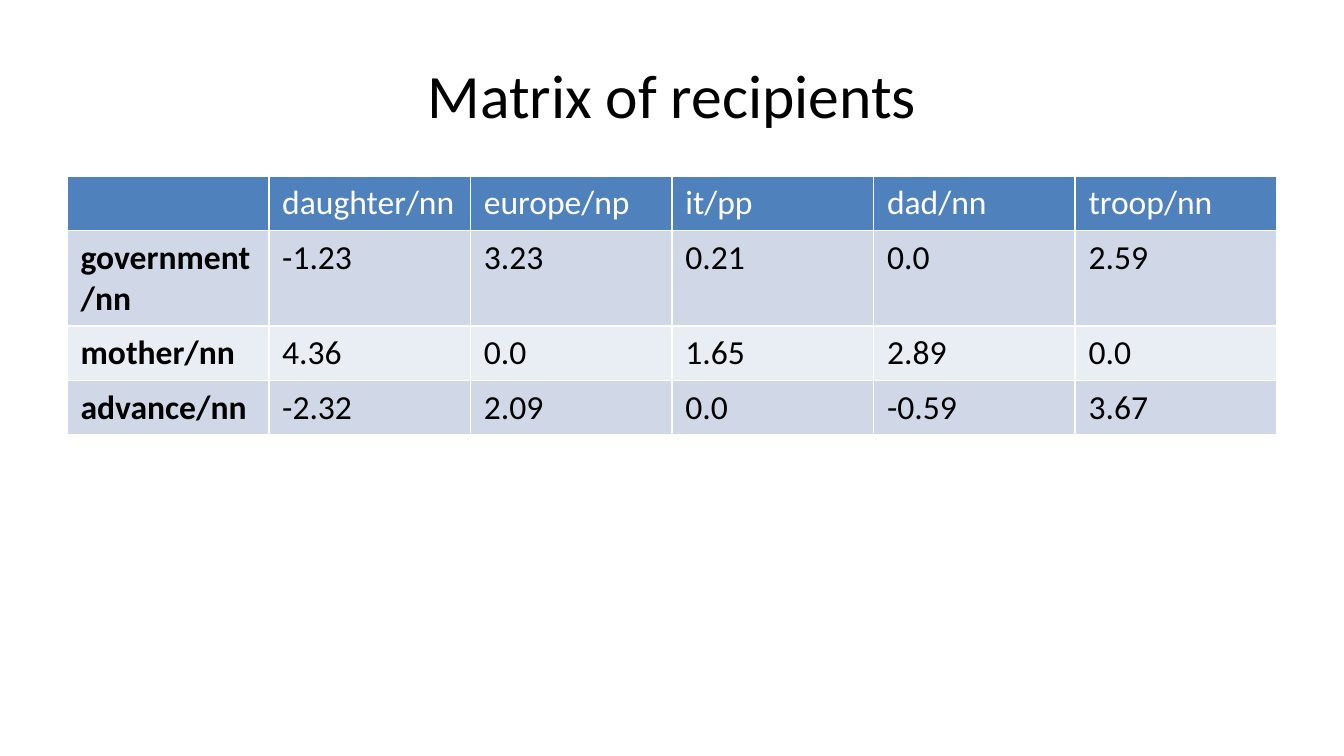
"""Build a slide with a matrix of recipients."""

from dataclasses import dataclass

from pptx import Presentation
from pptx.dml.color import RGBColor
from pptx.enum.text import MSO_ANCHOR, PP_ALIGN
from pptx.util import Inches, Pt

COLORS = {
    "head": "4F81BD",
    "odd": "D0D8E8",
    "even": "E9EDF4",
    "light": "FFFFFF",
    "dark": "000000",
}


@dataclass
class Row:
    label: str
    values: tuple[str, ...]
    height: float = 0.4


HEAD = Row("", ("daughter/nn", "europe/np", "it/pp", "dad/nn", "troop/nn"))
BODY = [
    Row("government/nn", ("-1.23", "3.23", "0.21", "0.0", "2.59"), 0.71),
    Row("mother/nn", ("4.36", "0.0", "1.65", "2.89", "0.0")),
    Row("advance/nn", ("-2.32", "2.09", "0.0", "-0.59", "3.67")),
]


def style(frame, size: float, color: str, bold: bool = False) -> None:
    for run in frame.paragraphs[0].runs:
        font = run.font
        font.name, font.size, font.bold = "Calibri", Pt(size), bold
        font.color.rgb = RGBColor.from_string(COLORS[color])


def add_title(slide, text: str) -> None:
    title = slide.shapes.title
    title.left, title.top = Inches(0.5), Inches(0.23)
    title.width, title.height = Inches(9), Inches(0.94)
    frame = title.text_frame
    frame.text = text
    frame.vertical_anchor = MSO_ANCHOR.MIDDLE
    frame.paragraphs[0].alignment = PP_ALIGN.CENTER
    style(frame, 33, "dark")


def fill_row(table, index: int, row: Row) -> None:
    table.rows[index].height = Inches(row.height)
    fill = "head" if index == 0 else "odd" if index % 2 else "even"
    color = "dark" if index else "light"
    for col, text in enumerate((row.label, *row.values)):
        cell = table.cell(index, col)
        cell.fill.solid()
        cell.fill.fore_color.rgb = RGBColor.from_string(COLORS[fill])
        cell.text_frame.text = text
        style(cell.text_frame, 18, color, bold=col == 0)


def add_matrix(slide, rows: list[Row]) -> None:
    height = sum(row.height for row in rows)
    table = slide.shapes.add_table(
        len(rows), len(HEAD.values) + 1,
        Inches(0.5), Inches(1.31), Inches(9), Inches(height),
    ).table
    table.first_col = True
    for index, row in enumerate(rows):
        fill_row(table, index, row)


def main() -> None:
    deck = Presentation()
    deck.slide_width, deck.slide_height = Inches(10), Inches(10 * 9 / 16)
    slide = deck.slides.add_slide(deck.slide_layouts[5])
    add_title(slide, "Matrix of recipients")
    add_matrix(slide, [HEAD, *BODY])
    deck.save("out.pptx")


if __name__ == "__main__":
    main()
